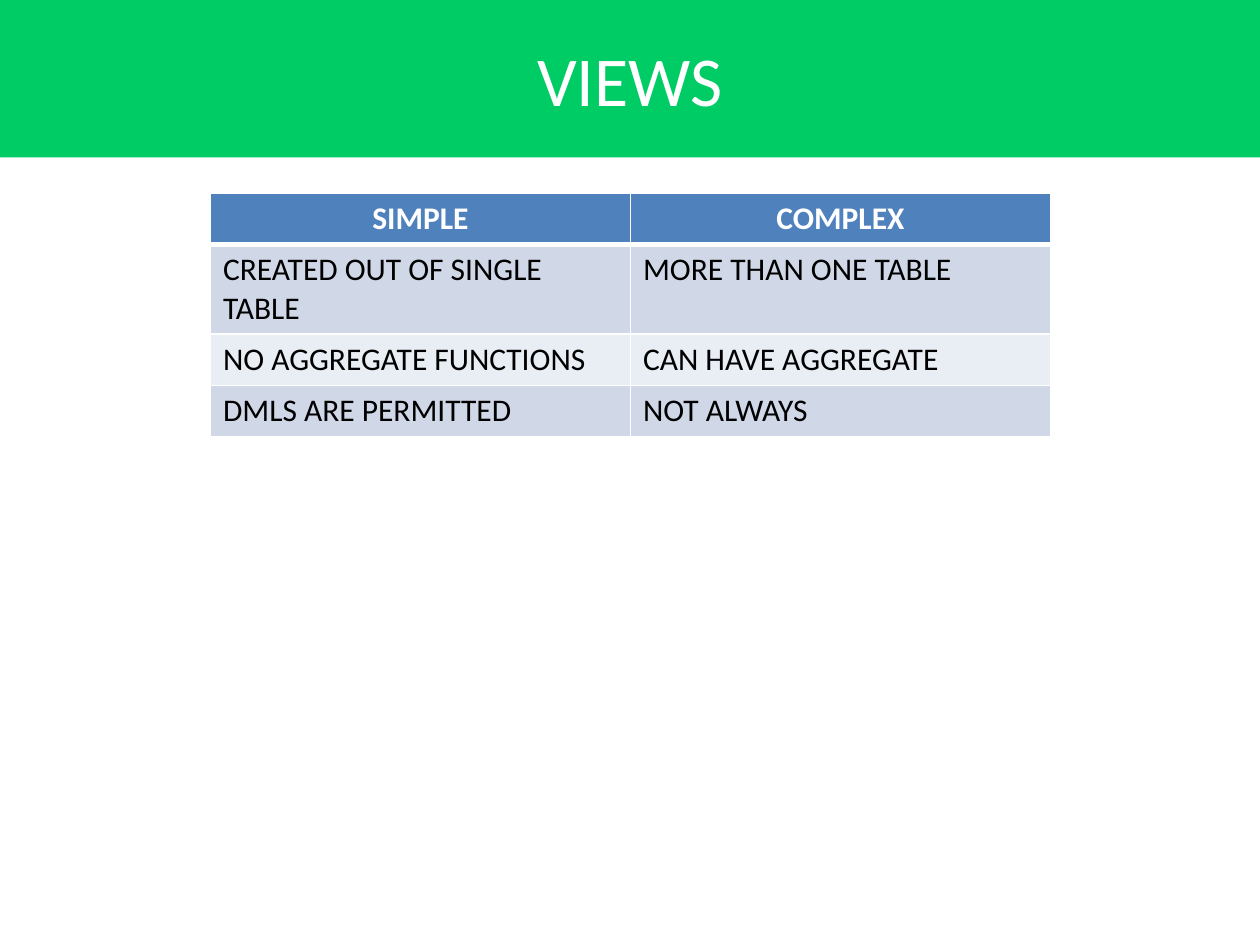
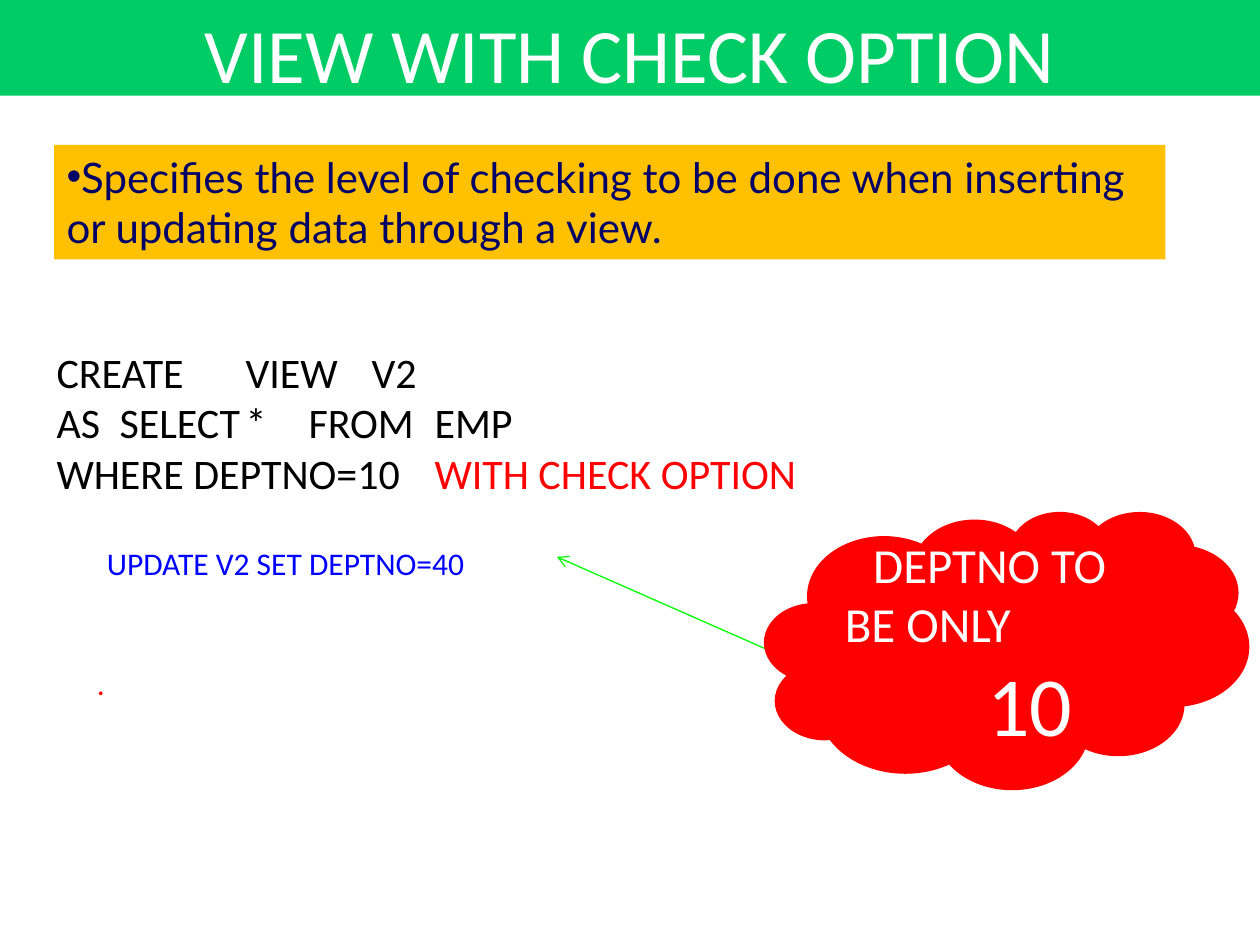
from dataclasses import dataclass

from lxml import etree
from pptx import Presentation
from pptx import util as u
from pptx.dml.color import RGBColor
from pptx.enum import shapes, text
from pptx.oxml.ns import qn

COLS, ROWS = 40, 30  # grid over a 10 x 7.5 inch slide


@dataclass(frozen=True)
class Theme:
    font: str = "Calibri"
    accent_font: str = "Lato"
    band: str = "00CC66"
    white: str = "FFFFFF"
    black: str = "000000"
    red: str = "FF0000"
    blue: str = "0000FF"
    navy: str = "000066"
    amber: str = "FFC000"
    arrow: str = "00FF00"
    head: str = "4F81BD"
    stripes: tuple = ("D0D8E8", "E9EDF4")
    title: int = 44
    title_small: int = 40
    body: int = 24
    small: int = 18
    callout: int = 28
    number: int = 48


T = Theme()
ALIGN = {"l": text.PP_ALIGN.LEFT, "c": text.PP_ALIGN.CENTER}


def rgb(value):
    return RGBColor.from_string(value)


def sub(parent, tag, **attrs):
    return etree.SubElement(parent, qn(tag), attrs)


def write(tf, content, size=T.small, color=T.black, font=T.font, bold=False,
          align="l", indent=0, tabs=(), bullet=None):
    """Add one paragraph; content is a string or a list of (string, colour)."""
    p = tf.paragraphs[0] if not tf.text else tf.add_paragraph()
    p.alignment = ALIGN[align]
    ppr = p._p.get_or_add_pPr()
    ppr.set("marL", str(u.Inches(indent)))
    ppr.set("indent", "0")
    if bullet:
        sub(ppr, "a:buFont", typeface="Arial")
        sub(ppr, "a:buChar", char=bullet)
    if tabs:
        stops = sub(ppr, "a:tabLst")
        for pos in tabs:
            sub(stops, "a:tab", pos=str(u.Inches(pos)), algn="l")
    runs = [(content, color)] if isinstance(content, str) else content
    for words, run_color in runs:
        r = p.add_run()
        r.text = words
        r.font.name, r.font.size, r.font.bold = font, u.Pt(size), bold
        r.font.color.rgb = rgb(run_color)


class Deck:
    def __init__(self):
        self.prs = Presentation()
        self.prs.slide_width, self.prs.slide_height = u.Inches(10), u.Inches(7.5)
        self.s = None

    def slide(self):
        self.s = self.prs.slides.add_slide(self.prs.slide_layouts[6])

    def x(self, col):
        return round(self.prs.slide_width * col / COLS)

    def y(self, row):
        return round(self.prs.slide_height * row / ROWS)

    def box(self, col, row, w, h):
        return self.x(col), self.y(row), self.x(w), self.y(h)

    def shape(self, kind, at, fill, line=None, anchor=text.MSO_ANCHOR.TOP):
        sp = self.s.shapes.add_shape(kind, *self.box(*at))
        sp.shadow.inherit = False
        sp.fill.solid()
        sp.fill.fore_color.rgb = rgb(fill)
        if line:
            sp.line.color.rgb, sp.line.width = rgb(line), u.Pt(2)
        else:
            sp.line.fill.background()
        sp.text_frame.word_wrap = True
        sp.text_frame.vertical_anchor = anchor
        return sp.text_frame

    def band(self, title, rows, size, anchor):
        tf = self.shape(shapes.MSO_SHAPE.RECTANGLE, (0, 0, COLS, rows), T.band,
                        anchor=anchor)
        write(tf, title, size=size, color=T.white, align="c")

    def label(self, at):
        tf = self.s.shapes.add_textbox(*self.box(*at)).text_frame
        tf.word_wrap = True
        return tf

    def arrow(self, start, end, color):
        cx = self.s.shapes.add_connector(
            shapes.MSO_CONNECTOR.STRAIGHT, self.x(start[0]), self.y(start[1]),
            self.x(end[0]), self.y(end[1]))
        cx.line.color.rgb, cx.line.width = rgb(color), u.Pt(0.75)
        sub(cx.line._get_or_add_ln(), "a:tailEnd", type="arrow")
        sub(cx._element.spPr, "a:effectLst")

    def table(self, at, data):
        tbl = self.s.shapes.add_table(len(data), len(data[0]), *self.box(*at)).table
        for i, row in enumerate(data):
            is_head = i == 0
            for j, words in enumerate(row):
                cell = tbl.cell(i, j)
                self.borders(cell, top=3 if i == 1 else 1, bottom=3 if is_head else 1)
                cell.fill.solid()
                cell.fill.fore_color.rgb = rgb(T.head if is_head else T.stripes[(i - 1) % 2])
                write(cell.text_frame, words, bold=is_head,
                      color=T.white if is_head else T.black,
                      align="c" if is_head else "l")

    @staticmethod
    def borders(cell, top, bottom):
        tcpr = cell._tc.get_or_add_tcPr()
        for side, width in zip("LRTB", (1, 1, top, bottom)):
            ln = sub(tcpr, f"a:ln{side}", w=str(u.Pt(width)))
            sub(sub(ln, "a:solidFill"), "a:srgbClr", val=T.white)


def views(d):
    d.slide()
    d.band("VIEWS", 5, T.title_small, text.MSO_ANCHOR.MIDDLE)
    d.table((6.68, 6.12, 26.67, 6.56), [
        ("SIMPLE", "COMPLEX"),
        ("CREATED OUT OF SINGLE TABLE", "MORE THAN ONE TABLE"),
        ("NO AGGREGATE FUNCTIONS", "CAN HAVE AGGREGATE"),
        ("DMLS ARE PERMITTED", "NOT ALWAYS"),
    ])


def check_option(d):
    d.slide()
    d.band("VIEW WITH CHECK OPTION", 3.04, T.title, text.MSO_ANCHOR.TOP)

    # SQL statements, spaced with tab stops
    sql = d.label((1.4, 10.8, 38.6, 5.24))
    write(sql, "CREATE\tVIEW\tV2", size=T.body, tabs=(1.24, 2.27))
    write(sql, "AS\tSELECT\t*\tFROM\tEMP", size=T.body, tabs=(0.5, 1.62, 1.92, 2.91))
    write(sql, [("WHERE DEPTNO=10\t", T.black), ("WITH CHECK OPTION", T.red)],
          size=T.body, tabs=(2.88,))
    write(d.label((3, 17.08, 25.12, 1.6)), "UPDATE V2 SET DEPTNO=40", color=T.blue)
    write(d.label((2.68, 20.88, 35.6, 1.6)), ".", color=T.red)

    # Definition
    tf = d.shape(shapes.MSO_SHAPE.RECTANGLE, (1.72, 4.6, 35.28, 3.64), T.amber)
    write(tf, "Specifies the level of checking to be done when inserting or "
          "updating data through a view.", size=T.body, color=T.navy,
          font=T.accent_font, bullet="•")

    # Callout pointing at the update
    d.arrow((24.4, 20.64), (17.68, 17.68), T.arrow)
    tf = d.shape(shapes.MSO_SHAPE.CLOUD, (24.32, 16.28, 15.28, 8.72), T.red,
                 line=T.red, anchor=text.MSO_ANCHOR.MIDDLE)
    write(tf, "DEPTNO TO", size=T.callout, color=T.white, align="c")
    write(tf, "BE ONLY", size=T.callout, color=T.white)
    write(tf, "10", size=T.number, color=T.white, align="c", indent=0.64)


def main():
    d = Deck()
    views(d)
    check_option(d)
    d.prs.save("out.pptx")


if __name__ == "__main__":
    main()
